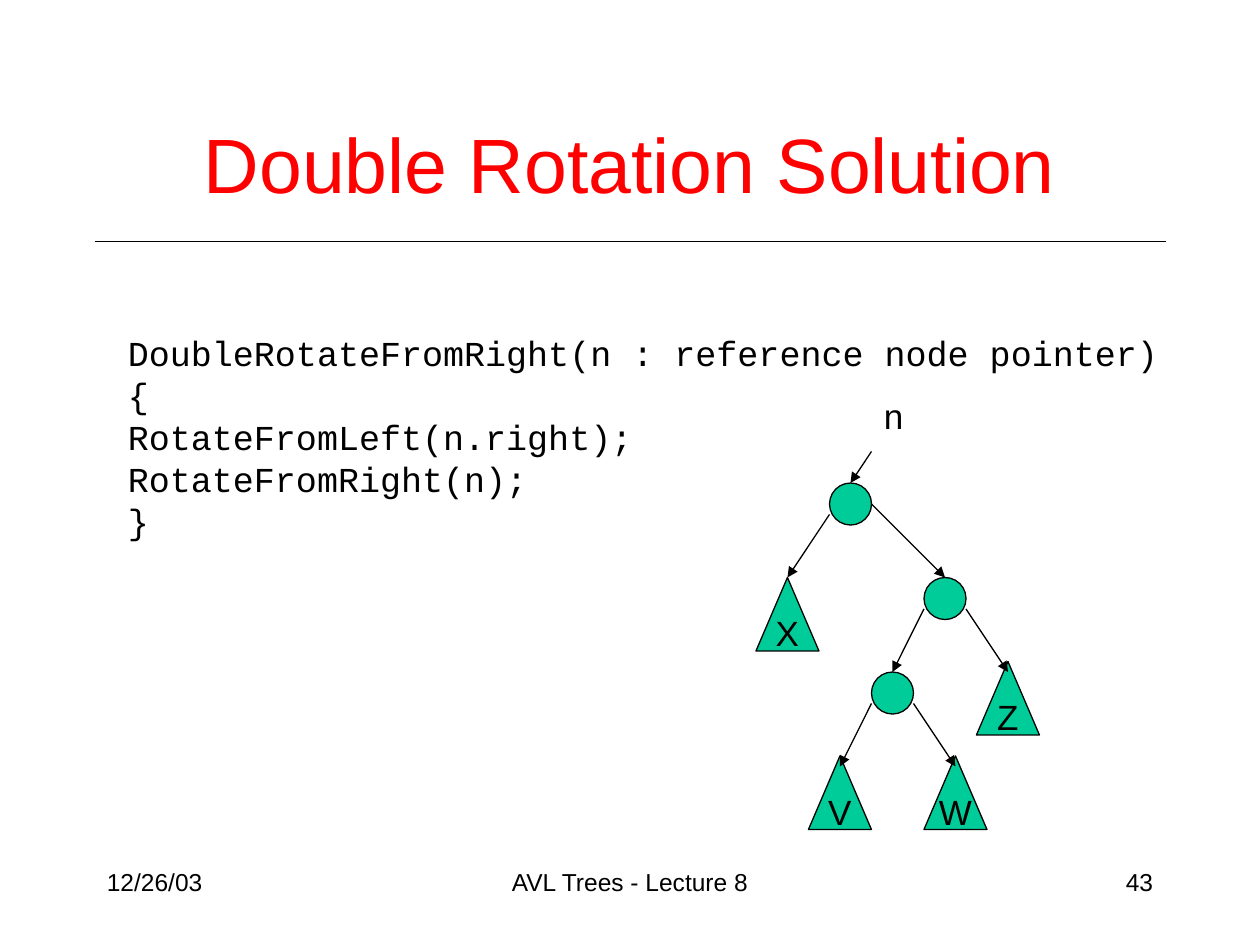
from lxml.etree import SubElement
from pptx import Presentation
from pptx.dml.color import RGBColor
from pptx.enum.shapes import MSO_CONNECTOR as Line, MSO_SHAPE as Shape
from pptx.enum.text import MSO_ANCHOR as Anchor, PP_ALIGN as Align
from pptx.oxml.ns import qn
from pptx.util import Emu, Pt

# Content
TITLE = "Double Rotation Solution"
CODE = [
    "DoubleRotateFromRight(n : reference node pointer) {",
    "RotateFromLeft(n.right);",
    "RotateFromRight(n);",
    "}",
]
FOOTERS = [  # text, left, width, alignment
    ("12/26/03", 90, 250, Align.LEFT),
    ("AVL Trees - Lecture 8", 410, 380, Align.CENTER),
    ("43", 860, 250, Align.RIGHT),
]
NODES = {"root": (790, 460), "right": (880, 550), "inner": (830, 640)}
SUBTREES = {"X": (720, 550), "V": (770, 720), "W": (880, 720), "Z": (930, 630)}
EDGES = [  # parent, side (-1 left, 1 right), start below node top, child, end below child top
    ("root", -1, 30, "X", 0),
    ("root", 1, 20, "right", 0),
    ("right", -1, 30, "inner", 0),
    ("right", 1, 30, "Z", 10),
    ("inner", -1, 30, "V", 10),
    ("inner", 1, 30, "W", 10),
]

NODE_SIZE = (40, 40)
SUBTREE_SIZE = (60, 70)
BLACK, RED, GREEN = "000000", "FF0000", "00CC99"


def px(n):
    """120 px to the inch."""
    return Emu(n * 7620)


def color(value):
    return RGBColor.from_string(value)


def write(shape, *lines, size=20, font="Arial", ink=BLACK, align=Align.LEFT,
          anchor=Anchor.TOP, wrap=True, spacing=None):
    frame = shape.text_frame
    frame.word_wrap = wrap
    frame.vertical_anchor = anchor
    for i, line in enumerate(lines):
        paragraph = frame.add_paragraph() if i else frame.paragraphs[0]
        paragraph.alignment = align
        paragraph.line_spacing = spacing
        run = paragraph.add_run()
        run.text = line
        run.font.size = Pt(size)
        run.font.name = font
        run.font.color.rgb = color(ink)


def add_text(left, top, width, height, *lines, **style):
    box = slide.shapes.add_textbox(px(left), px(top), px(width), px(height))
    write(box, *lines, **style)


def add_part(kind, left, top, size):
    part = slide.shapes.add_shape(kind, px(left), px(top), *map(px, size))
    part.shadow.inherit = False
    part.fill.solid()
    part.fill.fore_color.rgb = color(GREEN)
    part.line.color.rgb = color(BLACK)
    part.line.width = Pt(0.75)
    return part


def add_line(x1, y1, x2, y2, arrow=False):
    line = slide.shapes.add_connector(Line.STRAIGHT, px(x1), px(y1), px(x2), px(y2))
    line.line.color.rgb = color(BLACK)
    line.line.width = Pt(0.75)
    if arrow:
        SubElement(line.line._get_or_add_ln(), qn("a:tailEnd"), type="triangle")
    SubElement(line._element.spPr, qn("a:effectLst"))
    return line


prs = Presentation()
prs.slide_width, prs.slide_height = px(1200), px(900)
slide = prs.slides.add_slide(prs.slide_layouts[5])

# Title and rule
title = slide.shapes.title
title.left, title.top, title.width, title.height = map(px, (90, 80, 1020, 150))
write(title, TITLE, size=44, ink=RED, align=Align.CENTER, anchor=Anchor.MIDDLE)
add_line(90, 230, 1110, 230)

# Code
add_text(110, 310, 1030, 224, *CODE, font="Courier New", spacing=Pt(24))

# Tree nodes and subtrees
parts = {name: add_part(Shape.OVAL, *at, NODE_SIZE) for name, at in NODES.items()}
for name, at in SUBTREES.items():
    parts[name] = add_part(Shape.ISOSCELES_TRIANGLE, *at, SUBTREE_SIZE)
    write(parts[name], name, align=Align.CENTER, anchor=Anchor.MIDDLE, wrap=False)

# Edges run from a node's side to the top of its child
radius = NODE_SIZE[0] // 2
for parent, side, start, child, drop in EDGES:
    left, top = NODES[parent]
    child_left, child_top = NODES.get(child) or SUBTREES[child]
    child_width = (NODE_SIZE if child in NODES else SUBTREE_SIZE)[0]
    edge = add_line(left + radius + side * radius, top + start,
                    child_left + child_width // 2, child_top + drop, arrow=True)
    if drop == 0:
        edge.end_connect(parts[child], 0)

# Pointer to the root
add_text(830, 370, 43, 52, "n", wrap=False)
root_left, root_top = NODES["root"]
pointer = add_line(830, 430, root_left + radius, root_top, arrow=True)
pointer.end_connect(parts["root"], 0)

# Footer
for text, left, width, align in FOOTERS:
    add_text(left, 820, width, 60, text, size=14, align=align)

prs.save("out.pptx")
